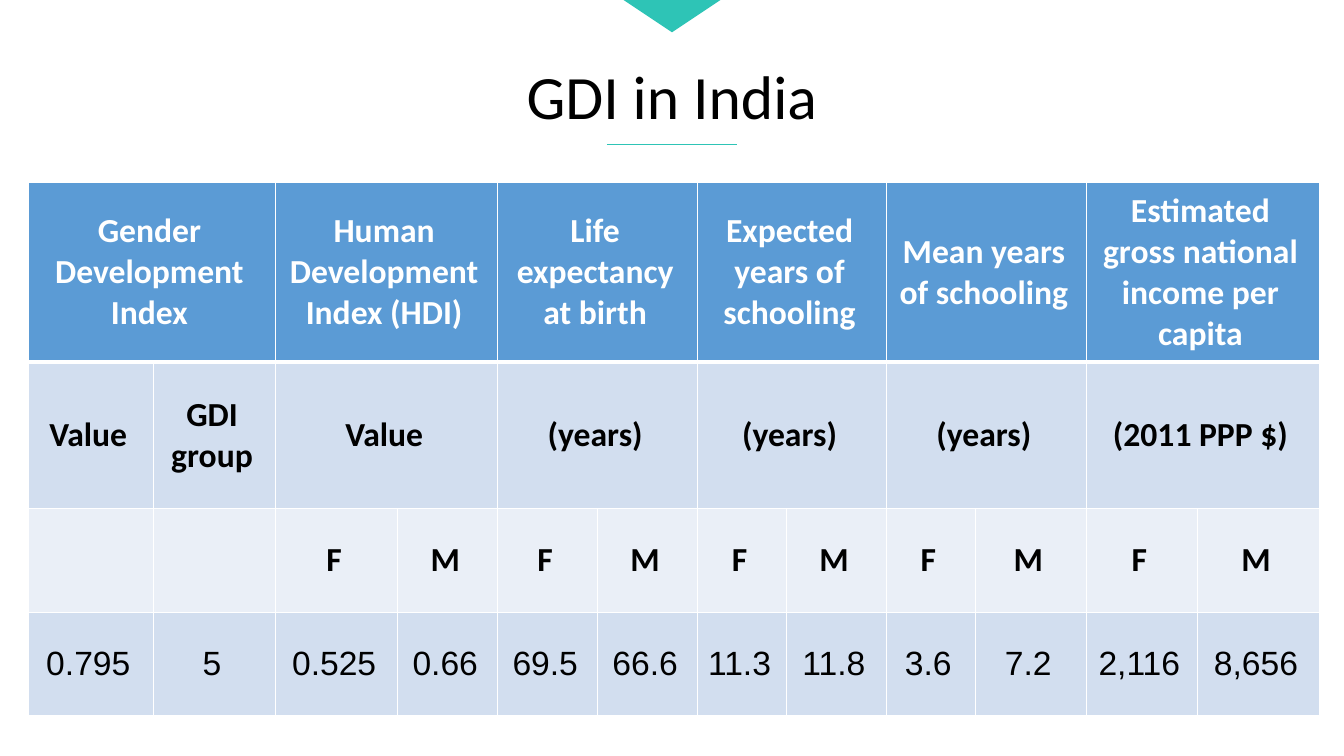
from lxml import etree
from pptx import Presentation
from pptx.dml.color import RGBColor
from pptx.enum.shapes import MSO_CONNECTOR, MSO_SHAPE
from pptx.enum.text import MSO_ANCHOR, MSO_AUTO_SIZE, PP_ALIGN
from pptx.oxml.ns import qn
from pptx.util import Inches, Pt

STRAIGHT = MSO_CONNECTOR.STRAIGHT
TRIANGLE = MSO_SHAPE.ISOSCELES_TRIANGLE
MIDDLE = MSO_ANCHOR.MIDDLE
GROW = MSO_AUTO_SIZE.SHAPE_TO_FIT_TEXT
CENTER = PP_ALIGN.CENTER

TEAL = RGBColor(0x2E, 0xC4, 0xB6)
BLUE = RGBColor(0x5B, 0x9B, 0xD5)
PALE = RGBColor(0xD2, 0xDE, 0xEF)
PALER = RGBColor(0xEA, 0xEF, 0xF7)
WHITE = RGBColor(0xFF, 0xFF, 0xFF)
BLACK = RGBColor(0x00, 0x00, 0x00)

COLUMN_SHARES = [1.24, 1.21, 1.21, 0.99, 0.99, 0.99, 0.88, 0.99, 0.88, 1.1, 1.1, 1.21]
ROW_SHARES = [1.79, 1.46, 1.03, 1.03]
INDICATORS = [
    "Gender Development Index", None,
    "Human Development Index (HDI)", None,
    "Life expectancy at birth", None,
    "Expected years of schooling", None,
    "Mean years of schooling", None,
    "Estimated gross national income per capita", None,
]
UNITS = ["Value", "GDI group", "Value", None, "(years)", None,
         "(years)", None, "(years)", None, "(2011 PPP $)", None]
SEXES = ["", ""] + ["F", "M"] * 5
FIGURES = ["0.795", "5", "0.525", "0.66", "69.5", "66.6",
           "11.3", "11.8", "3.6", "7.2", "2,116", "8,656"]
ROW_STYLES = [
    (INDICATORS, BLUE, WHITE, "Calibri", True, 3),
    (UNITS, PALE, BLACK, "Calibri", True, 1),
    (SEXES, PALER, BLACK, "Calibri", True, 1),
    (FIGURES, PALE, BLACK, "Arial", False, 1),
]


class GdiSlide:
    def __init__(self, deck):
        self.width, self.height = deck.slide_width, deck.slide_height
        self.slide = deck.slides.add_slide(deck.slide_layouts[5])
        self.shapes = self.slide.shapes

    def across(self, percent):
        return round(self.width * percent / 100)

    def down(self, percent):
        return round(self.height * percent / 100)

    def box(self, left, top, width, height):
        return self.across(left), self.down(top), self.across(width), self.down(height)

    def set_text(self, frame, text, font, size, color, bold):
        frame.text = text
        paragraph = frame.paragraphs[0]
        paragraph.alignment = CENTER
        for run in paragraph.runs:
            run.font.name = font
            run.font.size = Pt(size)
            run.font.bold = bold
            run.font.color.rgb = color

    def title(self, text, *place):
        heading = self.shapes.title
        heading.left, heading.top, heading.width, heading.height = self.box(*place)
        frame = heading.text_frame
        self.set_text(frame, text, "Calibri", 44, BLACK, False)
        frame.word_wrap = False
        frame.auto_size = GROW
        frame.vertical_anchor = MIDDLE

    def rule(self, start, end, level):
        underline = self.shapes.add_connector(
            STRAIGHT, self.across(start), self.down(level),
            self.across(end), self.down(level))
        underline.line.color.rgb = TEAL
        underline.line.width = Pt(0.5)
        etree.SubElement(underline._element.spPr, qn("a:effectLst"))

    def pointer(self, *place):
        marker = self.shapes.add_shape(TRIANGLE, *self.box(*place))
        marker.rotation = 180
        marker.shadow.inherit = False
        marker.fill.solid()
        marker.fill.fore_color.rgb = TEAL
        marker.line.fill.background()

    def borders(self, cell, bottom):
        properties = cell._tc.get_or_add_tcPr()
        for side, points in (("L", 1), ("R", 1), ("T", 1), ("B", bottom)):
            edge = etree.SubElement(properties, qn(f"a:ln{side}"), w=str(Pt(points)))
            paint = etree.SubElement(edge, qn("a:solidFill"))
            etree.SubElement(paint, qn("a:srgbClr"), val=str(WHITE))

    def table(self, row_styles, *place):
        left, top, width, height = self.box(*place)
        grid = self.shapes.add_table(
            len(ROW_SHARES), len(COLUMN_SHARES), left, top, width, height).table
        grid.first_row = grid.horz_banding = False
        for column, share in zip(grid.columns, COLUMN_SHARES):
            column.width = round(width * share / sum(COLUMN_SHARES))
        for row, share in zip(grid.rows, ROW_SHARES):
            row.height = round(height * share / sum(ROW_SHARES))
        for r, (texts, fill, color, font, bold, bottom) in enumerate(row_styles):
            for c, text in enumerate(texts):
                cell = grid.cell(r, c)
                self.borders(cell, bottom)
                cell.fill.solid()
                cell.fill.fore_color.rgb = fill
                if text is None:
                    grid.cell(r, c - 1).merge(cell)
                    continue
                cell.margin_left = cell.margin_top = cell.margin_bottom = Inches(0.05)
                cell.margin_right = Inches(0.1)
                cell.vertical_anchor = MIDDLE
                self.set_text(cell.text_frame, text, font, 24, color, bold)


def main():
    deck = Presentation()
    deck.slide_width, deck.slide_height = Inches(13.33), Inches(7.5)
    gdi = GdiSlide(deck)
    gdi.title("GDI in India", 38.3, 6.93, 23.4, 11.2)
    gdi.rule(45.16, 54.84, 19.07)
    gdi.pointer(46.4, 0, 7.2, 4.27)
    gdi.table(ROW_STYLES, 2.1, 24.13, 96.1, 70.53)
    deck.save("out.pptx")


if __name__ == "__main__":
    main()
